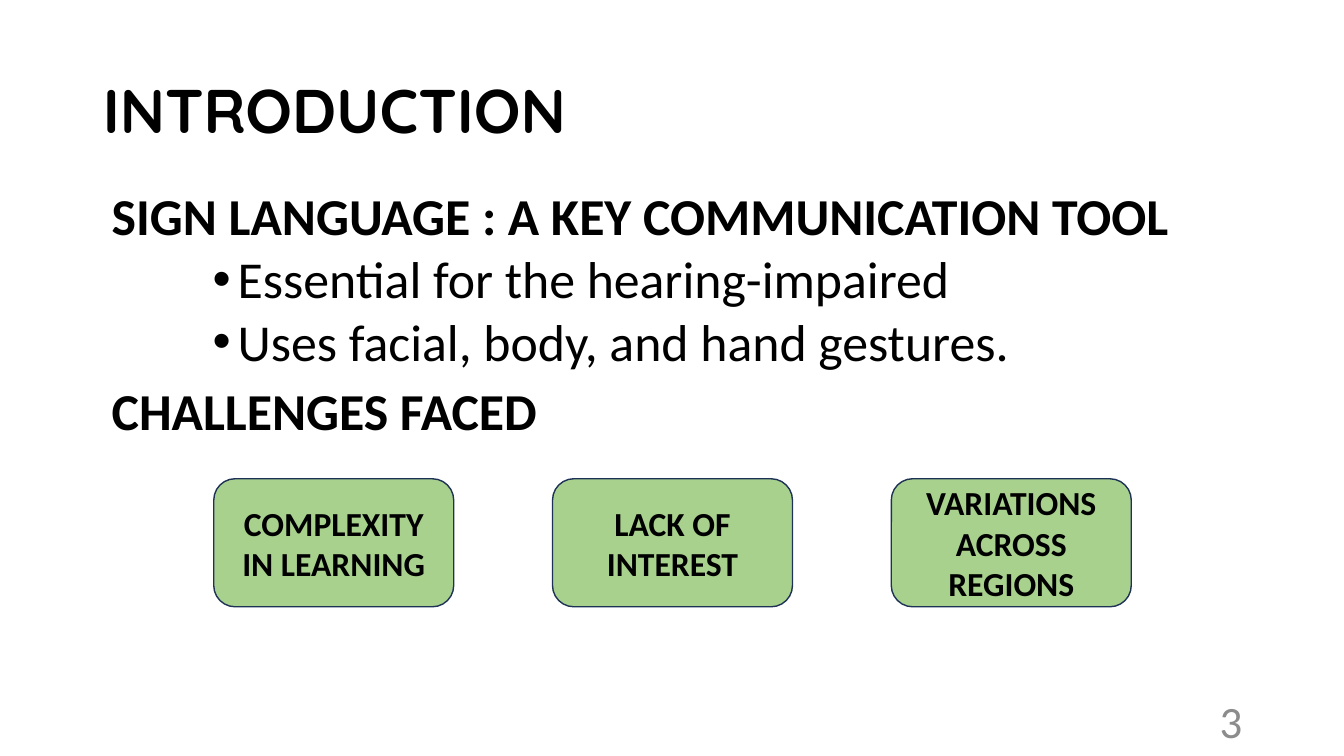
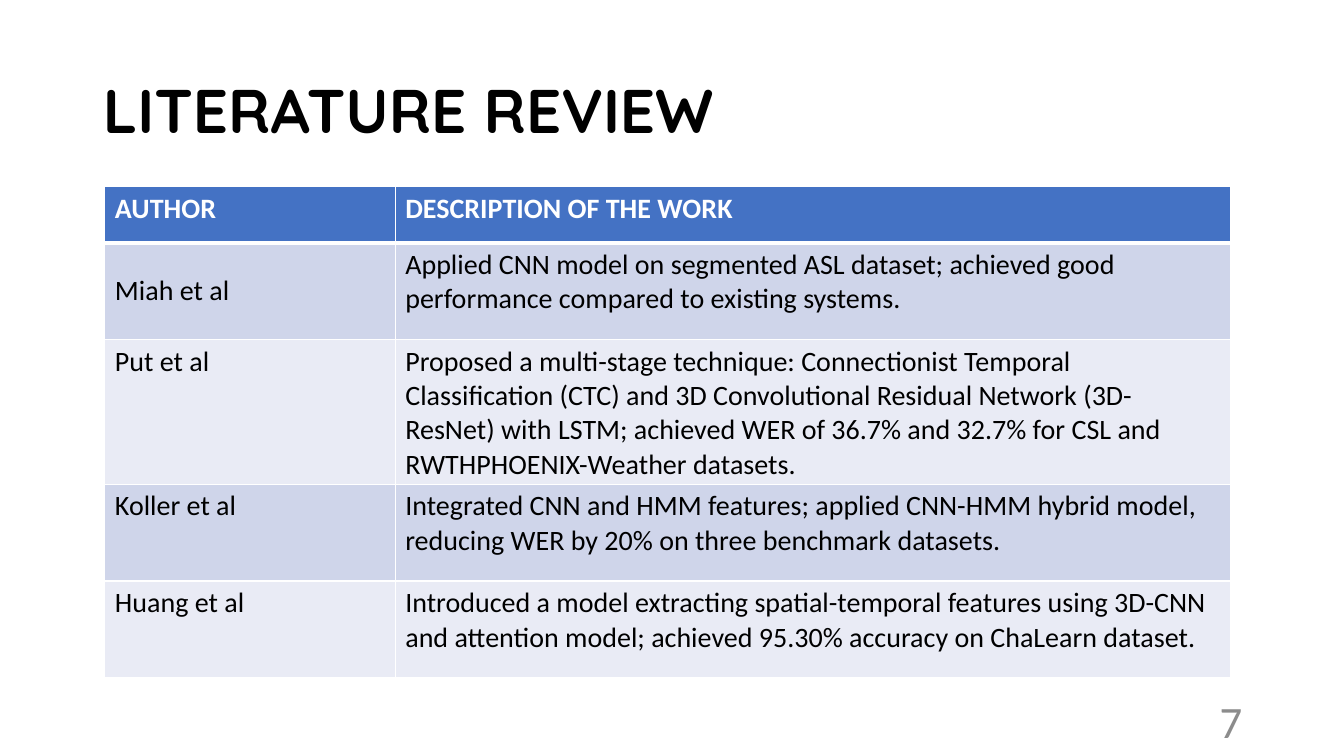
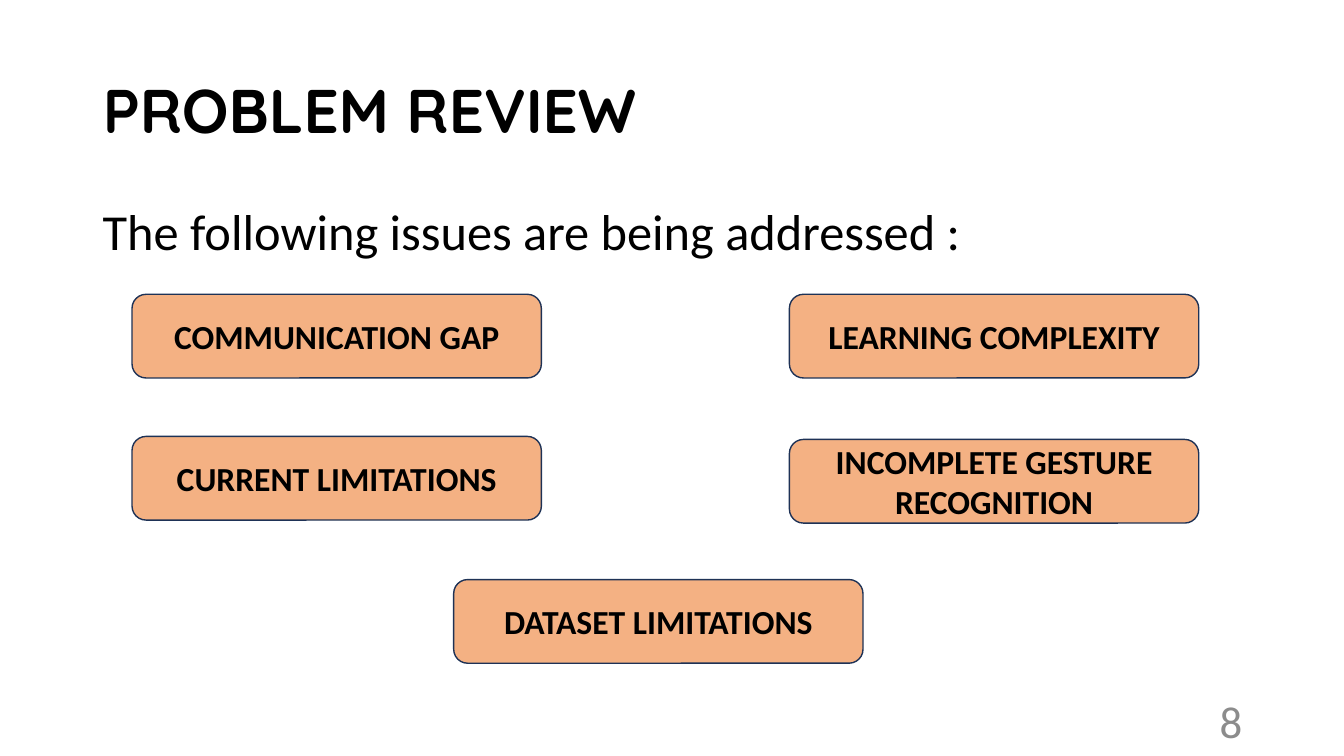
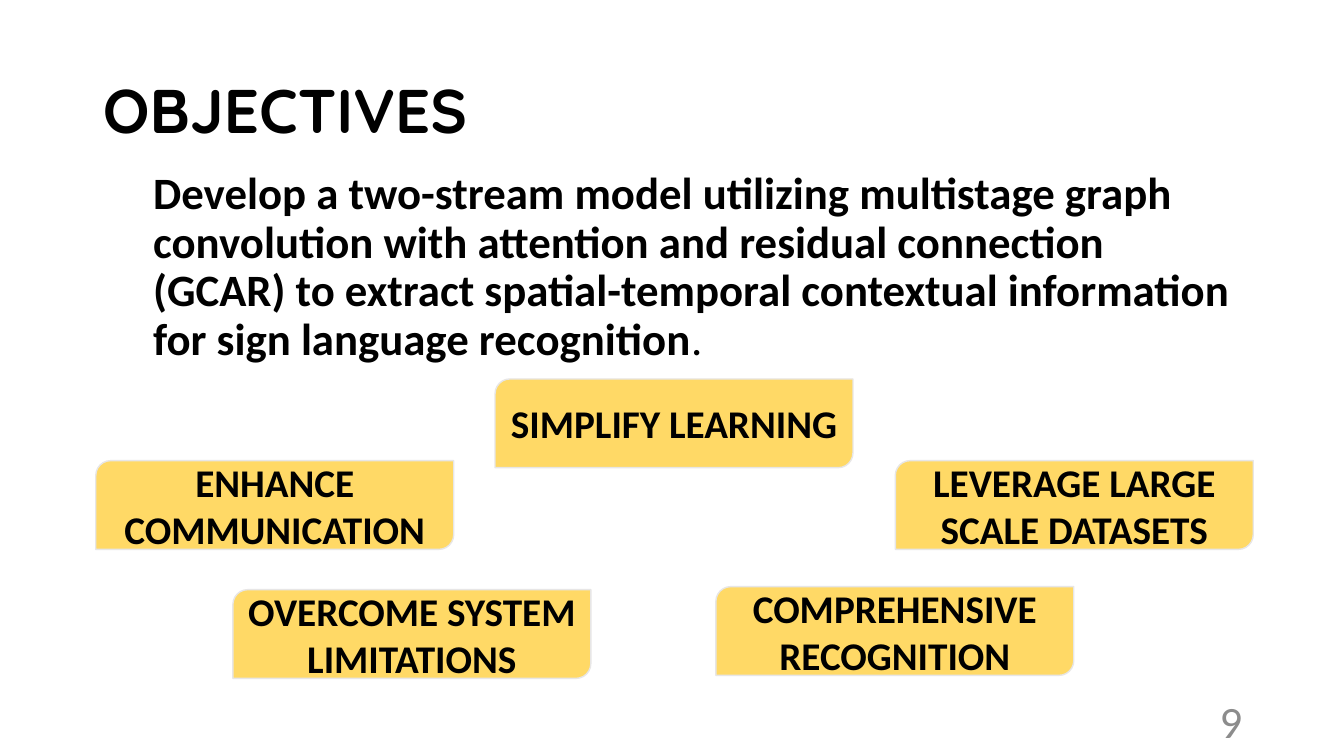
from dataclasses import dataclass

from lxml import etree
from pptx import Presentation
from pptx.dml.color import RGBColor
from pptx.enum.shapes import MSO_SHAPE
from pptx.enum.text import MSO_ANCHOR, PP_ALIGN
from pptx.oxml.ns import qn
from pptx.util import Inches, Pt

ROUND = MSO_SHAPE.ROUNDED_RECTANGLE
DIAG = MSO_SHAPE.ROUND_2_DIAG_RECTANGLE
LEFT, CENTER, RIGHT = PP_ALIGN.LEFT, PP_ALIGN.CENTER, PP_ALIGN.RIGHT
TOP, MIDDLE = MSO_ANCHOR.TOP, MSO_ANCHOR.MIDDLE


@dataclass(frozen=True)
class Theme:
    head_font: str = "Quicksand"
    body_font: str = "Calibri"
    black: str = "000000"
    white: str = "FFFFFF"
    grey: str = "8C8C8C"
    navy: str = "1E3256"
    pale: str = "E7E6E6"
    green: str = "A9D18E"
    orange: str = "F4B183"
    yellow: str = "FFD966"
    blue: str = "4472C4"
    bands: tuple = ("CFD5EA", "E9EBF5")
    title: int = 44
    lead: int = 37
    intro: int = 36
    goal: int = 32
    number: int = 32
    card: int = 24
    large: int = 28
    cell: int = 20


THEME = Theme()


def box(left, top, width, height):
    return [Inches(v) for v in (left, top, width, height)]


def color(code):
    return RGBColor.from_string(code)


def style(para, size, ink=THEME.black, bold=False, align=LEFT, font=THEME.body_font):
    para.alignment = align
    para.font.name = font
    para.font.size = Pt(size)
    para.font.bold = bold
    para.font.color.rgb = color(ink)


def space(para, before):
    para.line_spacing = 0.9
    para.space_before = Pt(before)


def indent(para, left, first=0, bullet=None):
    props = para._p.get_or_add_pPr()
    props.set("marL", str(Inches(left)))
    props.set("indent", str(Inches(first)))
    if bullet:
        etree.SubElement(props, qn("a:buFont")).set("typeface", "Arial")
        etree.SubElement(props, qn("a:buChar")).set("char", bullet)


def border(cell, **widths):
    """Draw white cell borders; widths are points by side letter."""
    props = cell._tc.get_or_add_tcPr()
    for side in "LRTB":
        line = etree.SubElement(props, qn("a:ln" + side))
        line.set("w", str(Pt(widths.get(side, 1))))
        fill = etree.SubElement(line, qn("a:solidFill"))
        etree.SubElement(fill, qn("a:srgbClr")).set("val", THEME.white)


class Deck:
    def __init__(self):
        self.prs = Presentation()
        self.prs.slide_width = Inches(13.33)
        self.prs.slide_height = Inches(7.5)
        self.slide = None

    def start(self, title, number):
        """Begin a slide with its title and page number."""
        self.slide = self.prs.slides.add_slide(self.prs.slide_layouts[5])
        head = self.slide.shapes.title
        head.left, head.top, head.width, head.height = box(0.92, 0.4, 11.5, 1.45)
        head.text_frame.text = title
        head.text_frame.vertical_anchor = MIDDLE
        para = head.text_frame.paragraphs[0]
        space(para, 0)
        style(para, THEME.title, bold=True, font=THEME.head_font)
        para = self.text(box(9.42, 6.95, 3, 0.4), [str(number)], MIDDLE)[0]
        style(para, THEME.number, THEME.grey, align=RIGHT)

    def text(self, place, lines, anchor=TOP):
        frame = self.slide.shapes.add_textbox(*place).text_frame
        frame.word_wrap = True
        frame.vertical_anchor = anchor
        frame.text = "\n".join(lines)
        return frame.paragraphs

    def card(self, kind, place, text, fill, line, size):
        shape = self.slide.shapes.add_shape(kind, *place)
        shape.shadow.inherit = False
        shape.fill.solid()
        shape.fill.fore_color.rgb = color(fill)
        shape.line.color.rgb = color(line)
        shape.line.width = Pt(1)
        shape.text_frame.text = text
        shape.text_frame.vertical_anchor = MIDDLE
        style(shape.text_frame.paragraphs[0], size, bold=True, align=CENTER)

    def table(self, place, widths, heights, rows):
        grid = self.slide.shapes.add_table(len(rows), len(widths), *place).table
        for col, width in zip(grid.columns, widths):
            col.width = Inches(width)
        for r, (row, height) in enumerate(zip(rows, heights)):
            grid.rows[r].height = Inches(height)
            head = r == 0
            for c, text in enumerate(row):
                cell = grid.cell(r, c)
                border(cell, B=3 if head else 1, T=3 if r == 1 else 1)
                cell.fill.solid()
                cell.fill.fore_color.rgb = color(
                    THEME.blue if head else THEME.bands[(r - 1) % 2])
                cell.text = text
                style(cell.text_frame.paragraphs[0], THEME.cell,
                      THEME.white if head else THEME.black, head)
        return grid


def intro(deck):
    deck.start("INTRODUCTION", 3)
    lines = [
        ("SIGN LANGUAGE : A KEY COMMUNICATION TOOL", True),
        ("Essential for the hearing-impaired", False),
        ("Uses facial, body, and hand gestures.", False),
        ("CHALLENGES FACED", True),
    ]
    paras = deck.text(box(1.01, 1.84, 11.5, 4.72), [text for text, _ in lines])
    for para, (_, head) in zip(paras, lines):
        space(para, 10 if head else 5)
        if not head:
            indent(para, 1.25, -0.25, "•")
        style(para, THEME.lead, bold=head)
    causes = ["COMPLEXITY IN LEARNING", "LACK OF INTEREST", "VARIATIONS ACROSS REGIONS"]
    for i, cause in enumerate(causes):
        deck.card(ROUND, box(2.12 + 3.36 * i, 4.75, 2.38, 1.27), cause,
                  THEME.green, THEME.navy, THEME.card)


def review(deck):
    deck.start("LITERATURE REVIEW", 7)
    rows = [
        ("AUTHOR", "DESCRIPTION OF THE WORK"),
        ("Miah et al", "Applied CNN model on segmented ASL dataset; achieved good "
         "performance compared to existing systems."),
        ("Put et al", "Proposed a multi-stage technique: Connectionist Temporal "
         "Classification (CTC) and 3D Convolutional Residual Network (3D-ResNet) "
         "with LSTM; achieved WER of 36.7% and 32.7% for CSL and "
         "RWTHPHOENIX-Weather datasets."),
        ("Koller et al", "Integrated CNN and HMM features; applied CNN-HMM hybrid "
         "model, reducing WER by 20% on three benchmark datasets."),
        ("Huang et al", "Introduced a model extracting spatial-temporal features "
         "using 3D-CNN and attention model; achieved 95.30% accuracy on ChaLearn "
         "dataset."),
    ]
    grid = deck.table(box(1.04, 1.85, 11.17, 4.89), (2.88, 8.29),
                      (0.56, 0.96, 1.38, 0.96, 0.96), rows)
    grid.cell(1, 0).vertical_anchor = MIDDLE


def problem(deck):
    deck.start("PROBLEM REVIEW", 8)
    para = deck.text(box(0.92, 2, 11.5, 4.76),
                     ["The following issues are being addressed :"])[0]
    space(para, 10)
    style(para, THEME.intro)
    issues = [
        (1.31, 2.92, "COMMUNICATION GAP"),
        (7.83, 2.92, "LEARNING COMPLEXITY"),
        (1.31, 4.33, "CURRENT LIMITATIONS"),
        (7.83, 4.36, "INCOMPLETE GESTURE RECOGNITION"),
        (4.5, 5.75, "DATASET LIMITATIONS"),
    ]
    for left, top, issue in issues:
        deck.card(ROUND, box(left, top, 4.06, 0.83), issue,
                  THEME.orange, THEME.navy, THEME.card)


def goals(deck):
    deck.start("OBJECTIVES", 9)
    para = deck.text(box(0.92, 1.65, 11.5, 5.1), [
        "Develop a two-stream model utilizing multistage graph convolution with "
        "attention and residual connection (GCAR) to extract spatial-temporal "
        "contextual information for sign language recognition"])[0]
    space(para, 5)
    indent(para, 0.5)
    style(para, THEME.goal, bold=True)
    stop = para.add_run()
    stop.text = "."
    stop.font.bold = False
    aims = [
        (0.95, 4.57, "ENHANCE COMMUNICATION"),
        (4.91, 3.76, "SIMPLIFY LEARNING"),
        (2.31, 5.85, "OVERCOME SYSTEM LIMITATIONS"),
        (8.88, 4.57, "LEVERAGE LARGE SCALE DATASETS"),
        (7.1, 5.82, "COMPREHENSIVE RECOGNITION"),
    ]
    for left, top, aim in aims:
        deck.card(DIAG, box(left, top, 3.55, 0.88), aim,
                  THEME.yellow, THEME.pale, THEME.large)


def main():
    deck = Deck()
    for build in (intro, review, problem, goals):
        build(deck)
    deck.prs.save("out.pptx")


if __name__ == "__main__":
    main()
